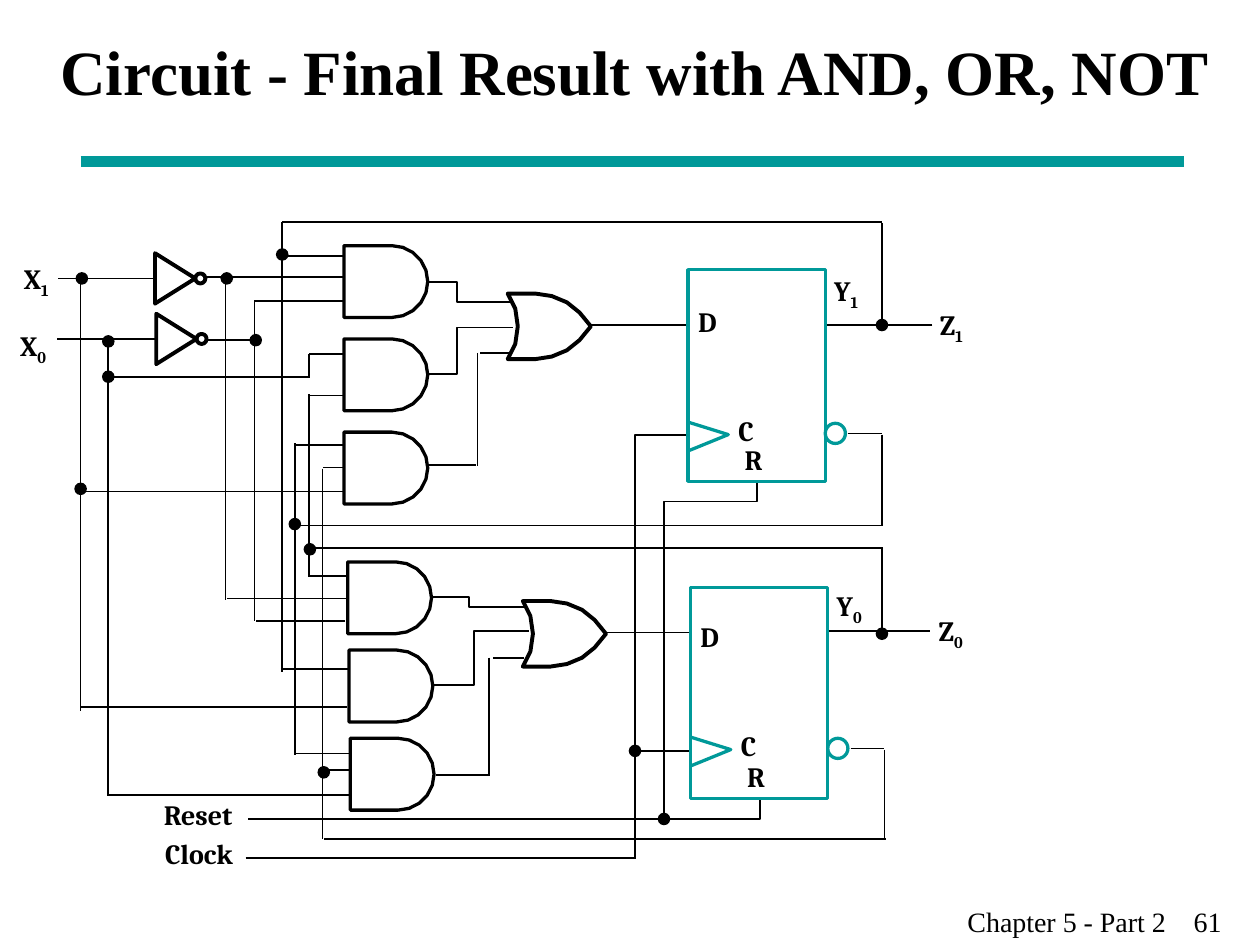
import math

from pptx import Presentation
from pptx.dml.color import RGBColor
from pptx.enum.shapes import MSO_CONNECTOR, MSO_SHAPE
from pptx.enum.text import MSO_ANCHOR, MSO_AUTO_SIZE, PP_ALIGN
from pptx.oxml.ns import qn
from pptx.util import Cm, Pt
from lxml import etree

STRAIGHT = MSO_CONNECTOR.STRAIGHT
RECT, OVAL, TRIANGLE = MSO_SHAPE.RECTANGLE, MSO_SHAPE.OVAL, MSO_SHAPE.ISOSCELES_TRIANGLE
MIDDLE, LEFT = MSO_ANCHOR.MIDDLE, PP_ALIGN.LEFT
FIT, NO_FIT = MSO_AUTO_SIZE.SHAPE_TO_FIT_TEXT, MSO_AUTO_SIZE.NONE

BLACK = RGBColor(0, 0, 0)
WHITE = RGBColor(255, 255, 255)
TEAL = RGBColor(0, 0x99, 0x99)
SERIF, LABEL_FONT = "Times New Roman", "Cambria"
WIRE, OUTLINE, BOLD_OUTLINE = 1, 1.87, 2.25
DOT = 0.1

# The circuit is laid out on an inch grid: (y, x from, x to).
HORIZONTAL = [
    (2.58, 7.4, 4.17), (5.01, 6.56, 7.38), (4.35, 7.01, 2.45), (4.17, 7.01, 2.36),
    (6.81, 1.95, 5.03), (5.96, 5.48, 5.03), (2.8, 4.05, 3.81), (3.69, 3.39, 3.78),
    (5.22, 4.16, 3.91), (6.15, 3.46, 3.87), (5.02, 4.82, 5.5), (3.44, 6.73, 7),
    (5.94, 6.75, 7.02), (6.66, 7.03, 2.57), (2.03, 2.23, 2.74), (2.2, 2.73, 1.61),
    (2.39, 2.73, 2.02), (2.7, 1.64, 2.01), (2.21, 1.23, 0.46), (2.69, 1.25, 0.45),
    (3.14, 2.72, 2.45), (3.9, 2.72, 0.65), (3.71, 2.73, 2.56), (3.53, 2.74, 2.34),
    (4.57, 2.46, 2.75), (4.75, 2.75, 1.8), (4.93, 2.74, 2.03), (5.31, 2.23, 2.79),
    (5.61, 2.75, 0.64), (2.99, 0.9, 2.46), (2.81, 2.75, 2.45), (5.98, 2.34, 2.78),
    (6.11, 2.56, 2.79), (6.31, 2.77, 0.85), (1.76, 2.24, 7),
]
# (x, y from, y to)
VERTICAL = [
    (7, 1.77, 2.58), (7, 5.01, 4.35), (2.45, 3.13, 4.58), (0.86, 2.7, 6.31),
    (2.24, 1.76, 5.33), (0.64, 2.2, 5.64), (3.79, 2.8, 3.7), (3.88, 5.22, 6.16),
    (2.56, 3.72, 6.66), (2.34, 3.52, 5.99), (2.02, 2.4, 4.93), (1.79, 2.21, 4.76),
    (7, 3.45, 4.17), (7.02, 5.95, 6.67), (2.45, 2.81, 3),
]
BENT = [
    [(6.03, 5.68), (6.03, 6.5), (1.97, 6.5)],
    [(2.9, 2.24), (3.63, 2.24), (3.63, 2.4), (4.07, 2.4)],
    [(2.9, 2.97), (3.63, 2.97), (3.63, 2.6), (4.07, 2.6)],
    [(2.99, 4.74), (3.72, 4.74), (3.72, 4.82), (4.16, 4.82)],
    [(3.03, 5.44), (3.76, 5.44), (3.76, 5.01), (4.2, 5.01)],
    [(6.07, 3.45), (5.04, 3.45), (5.04, 6.82)],
    [(5.27, 6.5), (5.27, 3.98), (6.01, 3.98), (6.01, 3.53)],
]
JUNCTIONS = [  # centres
    (2.03, 2.7), (1.8, 2.21), (7, 5.03), (5.04, 5.96), (7, 2.58), (5.27, 6.5),
    (0.86, 2.99), (0.86, 2.71), (0.65, 2.21), (2.24, 2.02), (0.64, 3.88),
    (2.46, 4.36), (2.34, 4.16), (2.57, 6.13),
]
AND_GATES = [(2.73, 1.95), (2.73, 2.69), (2.73, 3.43), (2.76, 4.46), (2.77, 5.16), (2.78, 5.86)]
OR_GATES = [(4.03, 2.33), (4.15, 4.77)]
INVERTERS = [(1.19, 2.05), (1.2, 2.53)]
FLIP_FLOPS = [(5.46, 2.14, "1", 0), (5.48, 4.66, "0", 0.02)]
LABELS = [  # left, top, width, text, subscript
    (0.19, 2.08, 0.23, "X", "1"), (0.16, 2.61, 0.23, "X", "0"),
    (7.46, 2.44, 0.22, "Z", "1"), (7.45, 4.87, 0.22, "Z", "0"),
    (1.3, 6.33, 0.61, "Reset", ""), (1.31, 6.64, 0.62, "Clock", ""),
]


def grid(*values):
    """Turn grid inches into lengths."""
    return [Cm(v * 2.54) for v in values]


def paint(sp, line=BLACK, width=OUTLINE, fill=None):
    sp.shadow.inherit = False
    if fill is None:
        sp.fill.background()
    else:
        sp.fill.solid()
        sp.fill.fore_color.rgb = fill
    if line is None:
        sp.line.fill.background()
    else:
        sp.line.color.rgb = line
        sp.line.width = Pt(width)
    return sp


def add_run(p, text, size=16, font=LABEL_FONT, bold=True, subscript=False):
    r = p.add_run()
    r.text = text
    r.font.size, r.font.name, r.font.bold = Pt(size), font, bold
    r.font.color.rgb = BLACK
    if subscript:
        r._r.get_or_add_rPr().set("baseline", "-25000")


def add_label(s, x, y, width, text, subscript=""):
    tf = s.shapes.add_textbox(*grid(x, y, width, 0.3 if subscript else 0.27)).text_frame
    tf.margin_left = tf.margin_right = tf.margin_top = tf.margin_bottom = 0
    tf.word_wrap = False
    tf.auto_size = FIT
    add_run(tf.paragraphs[0], text)
    if subscript:
        add_run(tf.paragraphs[0], subscript, subscript=True)


def add_line(s, x1, y1, x2, y2, color=BLACK, width=WIRE):
    c = s.shapes.add_connector(STRAIGHT, *grid(x1, y1, x2, y2))
    c.line.color.rgb = color
    c.line.width = Pt(width)
    etree.SubElement(c._element.spPr, qn("a:effectLst"))


def add_path(s, points, close=False, **style):
    start, *rest = [grid(*pt) for pt in points]
    builder = s.shapes.build_freeform(*start)
    builder.add_line_segments(rest, close=close)
    return paint(builder.convert_to_shape(), **style)


def add_shape(s, kind, x, y, w, h, **style):
    return paint(s.shapes.add_shape(kind, *grid(x, y, w, h)), **style)


def add_and_gate(s, x, y, body=0.38, radius=0.285, steps=10):
    angles = [math.pi * (i / steps - 0.5) for i in range(steps + 1)]
    arc = [(x + body + radius * math.cos(a), y + radius + radius * math.sin(a)) for a in angles]
    add_path(s, [(x, y), *arc, (x, y + 2 * radius)], close=True, fill=WHITE)


def add_or_gate(s, x, y, h=0.52):
    """Draw the upper half from the back to the tip, then mirror it."""
    upper = [(0.08, h / 2), (0.06, 0.12), (0, 0), (0.22, 0), (0.35, 0.02),
             (0.47, 0.07), (0.57, 0.15), (0.66, h / 2)]
    lower = [(dx, h - dy) for dx, dy in upper[-2:0:-1]]
    add_path(s, [(x + dx, y + dy) for dx, dy in upper + lower], close=True,
             fill=WHITE, width=BOLD_OUTLINE)


def add_inverter(s, x, y):
    add_shape(s, TRIANGLE, x, y, 0.4, 0.32, width=BOLD_OUTLINE).rotation = 90
    add_shape(s, OVAL, x + 0.36, y + 0.12, 0.08, 0.08, width=BOLD_OUTLINE)


def add_flip_flop(s, x, y, index, lift):
    """Draw the box with its ports; lift raises the ports within the box."""
    add_shape(s, RECT, x, y, 1.09, 1.68, line=TEAL, fill=WHITE)
    add_label(s, x + 0.45, y + 1.37, 0.16, "R")
    top = y - lift
    add_shape(s, OVAL, x + 1.09, top + 1.22, 0.16, 0.16, line=TEAL, fill=WHITE)
    clock_input = [(0, 1.21), (0.32, 1.31), (0, 1.44)]
    add_path(s, [(x + dx, top + dy) for dx, dy in clock_input], line=TEAL)
    add_label(s, x + 0.08, top + 0.28, 0.17, "D")
    add_label(s, x + 0.4, top + 1.14, 0.15, "C")
    add_label(s, x + 1.16, top + 0.03, 0.23, "Y", index)


def add_title(s, text):
    sp = s.shapes.title
    sp.left, sp.top, sp.width, sp.height = grid(0.38, 0, 9.62, 1.12)
    tf = sp.text_frame
    tf.vertical_anchor, tf.auto_size, tf.word_wrap = MIDDLE, NO_FIT, True
    tf.paragraphs[0].alignment = LEFT
    add_run(tf.paragraphs[0], text, size=36, font=SERIF)
    add_line(s, 0.64, 1.28, 9.4, 1.28, color=TEAL, width=6)


def add_footer(s, chapter, number):
    tf = s.shapes.add_textbox(*grid(7.58, 7.13, 2.42, 0.37)).text_frame
    tf.word_wrap = True
    p = tf.paragraphs[0]
    tabs = etree.SubElement(p._p.get_or_add_pPr(), qn("a:tabLst"))
    etree.SubElement(tabs, qn("a:tab"), pos=str(Cm(4.56)), algn="l")
    add_run(p, f"{chapter}\t{number}", font=SERIF, bold=False)


def main():
    prs = Presentation()
    prs.slide_width, prs.slide_height = grid(10, 7.5)
    s = prs.slides.add_slide(prs.slide_layouts[5])
    add_title(s, "Circuit - Final Result with AND, OR, NOT")
    add_footer(s, "Chapter 5 - Part 2", 61)
    for points in BENT:
        add_path(s, points, width=WIRE)
    for y, x1, x2 in HORIZONTAL:
        add_line(s, x1, y, x2, y)
    for x, y1, y2 in VERTICAL:
        add_line(s, x, y1, x, y2)
    for add, places in ((add_and_gate, AND_GATES), (add_or_gate, OR_GATES),
                        (add_inverter, INVERTERS), (add_flip_flop, FLIP_FLOPS),
                        (add_label, LABELS)):
        for place in places:
            add(s, *place)
    for x, y in JUNCTIONS:
        add_shape(s, OVAL, x - DOT / 2, y - DOT / 2, DOT, DOT, line=None, fill=BLACK)
    prs.save("out.pptx")


if __name__ == "__main__":
    main()
